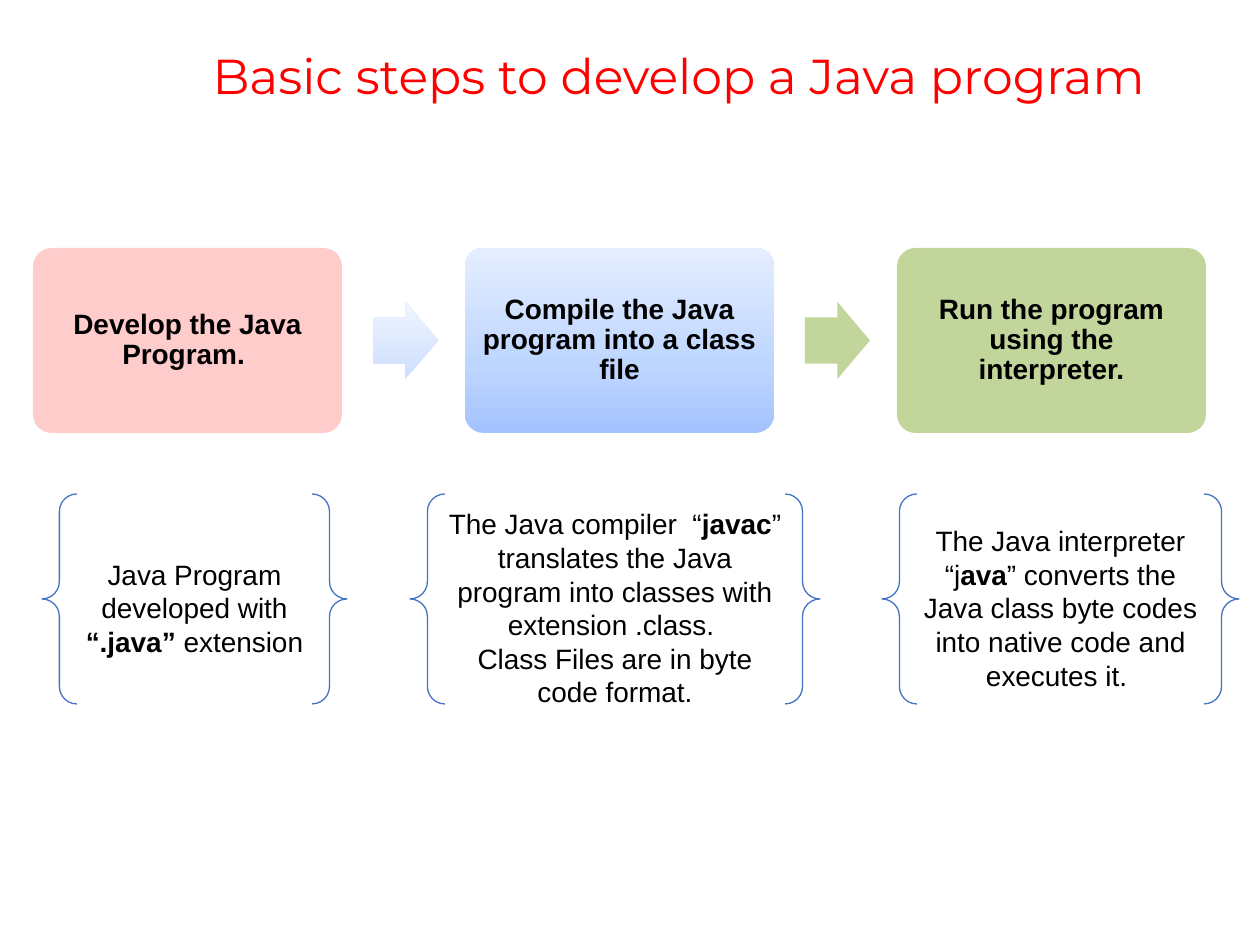
from copy import deepcopy

from pptx import Presentation
from pptx.dml.color import RGBColor
from pptx.enum.shapes import MSO_SHAPE as Shape
from pptx.enum.text import MSO_ANCHOR as Anchor, PP_ALIGN as Align
from pptx.util import Emu, Pt

EMU_PER_PX = 914400 / 126


def px(length):
    """Turn whole pixels into EMU."""
    return Emu(round(length * EMU_PER_PX))


def color(value):
    """Turn a hex string into a colour."""
    return RGBColor.from_string(value)


def write(frame, text, size=16, font="Arial", ink="000000", bold=False,
          align=Align.CENTER, spacing=1.0, margin=None):
    """Fill a text frame; lines are paragraphs and asterisks toggle bold."""
    frame.word_wrap = True
    frame.vertical_anchor = Anchor.MIDDLE
    if margin is not None:
        frame.margin_left = frame.margin_right = px(margin)
        frame.margin_top = frame.margin_bottom = px(margin)
    for index, line in enumerate(text.split("\n")):
        paragraph = frame.add_paragraph() if index else frame.paragraphs[0]
        paragraph.alignment = align
        paragraph.line_spacing = spacing
        for part, words in enumerate(line.split("*")):
            run = paragraph.add_run()
            run.text = words
            run.font.size = Pt(size)
            run.font.name = font
            run.font.bold = bold or part % 2 == 1
            run.font.color.rgb = color(ink)


class ProcessSlide:
    """Holds the style and the current slide."""

    accent = "4472C4"
    title_ink = "FF0000"
    title_font = "Montserrat"

    def __init__(self, presentation):
        """Add a title-only slide."""
        self.slide = presentation.slides.add_slide(presentation.slide_layouts[5])

    def title(self, text, left, top, width, height):
        """Place and format the title."""
        shape = self.slide.shapes.title
        shape.left, shape.top = px(left), px(top)
        shape.width, shape.height = px(width), px(height)
        write(shape.text_frame, text, size=28, font=self.title_font,
              ink=self.title_ink, align=Align.LEFT, spacing=0.9)

    def shape(self, kind, box, adjustments):
        """Add a preset shape without shadow."""
        shape = self.slide.shapes.add_shape(kind, *map(px, box))
        shape.shadow.inherit = False
        for index, value in enumerate(adjustments):
            shape.adjustments[index] = value
        return shape

    def paint(self, shape, colors):
        """Fill with one colour or a gradient rising from the bottom."""
        shape.line.fill.background()
        if len(colors) == 1:
            shape.fill.solid()
            shape.fill.fore_color.rgb = color(colors[0])
            return
        shape.fill.gradient()
        shape.fill.gradient_angle = 90
        last_stop = shape._element.spPr.gradFill.gsLst[-1]
        last_stop.addprevious(deepcopy(last_stop))
        for stop, position, value in zip(shape.fill.gradient_stops, (0, 0.35, 1), colors):
            stop.position = position
            stop.color.rgb = color(value)

    def card(self, text, colors, box):
        """Add a rounded step card."""
        shape = self.shape(Shape.ROUNDED_RECTANGLE, box, [0.1])
        self.paint(shape, colors)
        write(shape.text_frame, text, bold=True, spacing=0.9, margin=12)

    def arrow(self, colors, box):
        """Add a block arrow between two cards."""
        self.paint(self.shape(Shape.RIGHT_ARROW, box, [0.6, 0.5]), colors)

    def note(self, text, box):
        """Add an explanation between braces."""
        shape = self.shape(Shape.DOUBLE_BRACE, box, [0.083])
        shape.fill.background()
        shape.line.color.rgb = color(self.accent)
        shape.line.width = Pt(0.75)
        write(shape.text_frame, text)


def main():
    """Build and save the slide."""
    presentation = Presentation()
    presentation.slide_width, presentation.slide_height = px(1260), px(945)
    page = ProcessSlide(presentation)
    page.title("Basic steps to develop a Java program", 200, 1, 1060, 156)

    pitch = 432
    cards = [
        ("Develop the Java Program. ", ["FFCCCC"]),
        ("Compile the Java program into a class file", ["A3C2FF", "BDD5FF", "E5EEFF"]),
        ("Run the program using the interpreter.", ["C2D59B"]),
    ]
    for index, (text, colors) in enumerate(cards):
        page.card(text, colors, (33 + index * pitch, 248, 309, 185))

    arrows = [["CBDDFE", "DAE6FE", "EFF5FF"], ["C2D59B"]]
    for index, colors in enumerate(arrows):
        page.arrow(colors, (373 + index * pitch, 302, 65, 77))

    notes = [
        (42, 305, "Java Program developed with *“.java”* extension"),
        (410, 410, "The Java compiler  “*javac*” translates the Java program into "
                   "classes with extension .class. \nClass Files are in byte code format."),
        (882, 357, "The Java interpreter “j*ava*” converts the Java class byte codes "
                   "into native code and executes it. "),
    ]
    for left, width, text in notes:
        page.note(text, (left, 494, width, 210))

    presentation.save("out.pptx")


if __name__ == "__main__":
    main()
